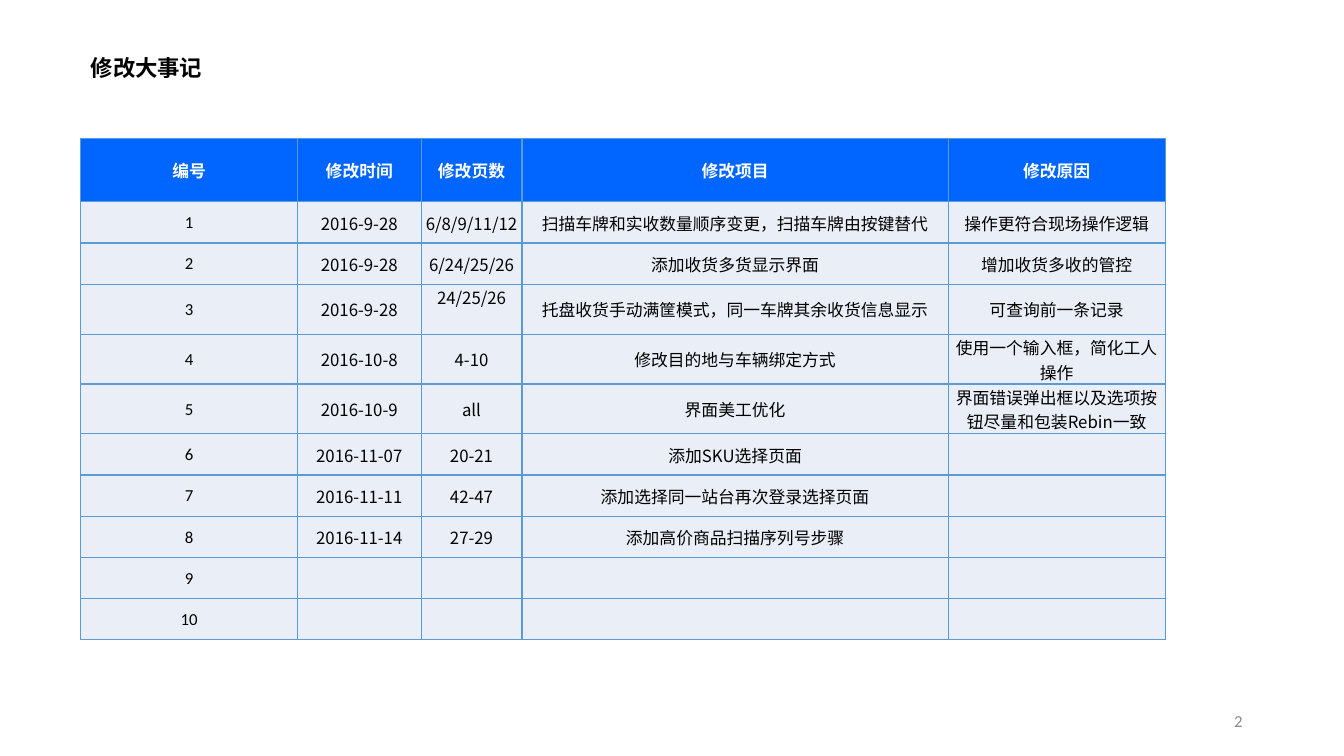
from dataclasses import dataclass

from lxml import etree
from pptx import Presentation
from pptx.dml.color import RGBColor
from pptx.enum.text import MSO_ANCHOR, MSO_AUTO_SIZE, PP_ALIGN
from pptx.oxml.ns import qn
from pptx.util import Inches, Pt

LEFT, CENTER, RIGHT = PP_ALIGN.LEFT, PP_ALIGN.CENTER, PP_ALIGN.RIGHT
TOP, MIDDLE = MSO_ANCHOR.TOP, MSO_ANCHOR.MIDDLE
GROW = MSO_AUTO_SIZE.SHAPE_TO_FIT_TEXT
TITLE_ONLY = 5


@dataclass(frozen=True)
class Theme:
    header_fill: str = "0066FF"
    body_fill: str = "EAEFF7"
    border: str = "5B9BD5"
    white: str = "FFFFFF"
    black: str = "000000"
    grey: str = "8C8C8C"
    latin: str = "Calibri"
    chinese: str = "Noto Sans CJK SC"
    title_size: int = 16
    text_size: int = 12
    border_width: int = 1


THEME = Theme()
SLIDE_WIDTH, SLIDE_HEIGHT = Inches(13.33), Inches(7.5)
TITLE_BOX = (0.06, 0.065, 0.099, 0.05)
NUMBER_BOX = (0.707, 0.927, 0.225, 0.053)
TABLE_BOX = (0.06, 0.183, 0.807, 0.65)
COLUMN_SHARES = (0.2, 0.114, 0.093, 0.393, 0.2)
HEADER_SHARE, ROW_SHARE, TALL_SHARE = 0.084, 0.0545, 0.066
TALL_ROWS = (3, 4, 5)
RAISED_CELL = (3, 2)
CELL_FORMAT = {
    "margin_left": Inches(0.01),
    "margin_right": Inches(0.01),
    "margin_top": Inches(0.01),
    "margin_bottom": 0,
}

HEADERS = ("编号", "修改时间", "修改页数", "修改项目", "修改原因")
CHANGES = (
    ("2016-9-28", "6/8/9/11/12", "扫描车牌和实收数量顺序变更，扫描车牌由按键替代", "操作更符合现场操作逻辑"),
    ("2016-9-28", "6/24/25/26", "添加收货多货显示界面", "增加收货多收的管控"),
    ("2016-9-28", "24/25/26", "托盘收货手动满筐模式，同一车牌其余收货信息显示", "可查询前一条记录"),
    ("2016-10-8", "4-10", "修改目的地与车辆绑定方式", "使用一个输入框，简化工人操作"),
    ("2016-10-9", "all", "界面美工优化", "界面错误弹出框以及选项按钮尽量和包装Rebin一致"),
    ("2016-11-07", "20-21", "添加SKU选择页面", ""),
    ("2016-11-11", "42-47", "添加选择同一站台再次登录选择页面", ""),
    ("2016-11-14", "27-29", "添加高价商品扫描序列号步骤", ""),
    ("", "", "", ""),
    ("", "", "", ""),
)


def set_format(target, values):
    for name, value in values.items():
        setattr(target, name, value)


def place(box):
    left, top, width, height = box
    return (
        round(left * SLIDE_WIDTH),
        round(top * SLIDE_HEIGHT),
        round(width * SLIDE_WIDTH),
        round(height * SLIDE_HEIGHT),
    )


def write_text(text_frame, text, color, size=THEME.text_size, bold=False,
               font=THEME.latin, align=CENTER):
    paragraph = text_frame.paragraphs[0]
    paragraph.alignment = align
    if not text:
        paragraph.font.size = Pt(size)
        return
    run = paragraph.add_run()
    run.text = text
    set_format(run.font, {"size": Pt(size), "bold": bold, "name": font})
    run.font.color.rgb = RGBColor.from_string(color)
    east_asian = etree.Element(qn("a:ea"), typeface=THEME.chinese)
    run.font._element.find(qn("a:latin")).addnext(east_asian)


def add_borders(cell):
    properties = cell._tc.get_or_add_tcPr()
    for side in ("a:lnL", "a:lnR", "a:lnT", "a:lnB"):
        line = etree.SubElement(properties, qn(side), w=str(Pt(THEME.border_width)))
        fill = etree.SubElement(line, qn("a:solidFill"))
        etree.SubElement(fill, qn("a:srgbClr"), val=THEME.border)


def fill_cell(cell, text, fill, color, bold, font, anchor):
    set_format(cell, CELL_FORMAT | {"vertical_anchor": anchor})
    add_borders(cell)
    cell.fill.solid()
    cell.fill.fore_color.rgb = RGBColor.from_string(fill)
    write_text(cell.text_frame, text, color, bold=bold, font=font)


def row_height(row_index):
    if row_index == 0:
        share = HEADER_SHARE
    else:
        share = TALL_SHARE if row_index in TALL_ROWS else ROW_SHARE
    return round(share * SLIDE_HEIGHT)


def add_change_table(slide):
    records = [HEADERS]
    records += [(str(number), *change) for number, change in enumerate(CHANGES, 1)]
    box = place(TABLE_BOX)
    table = slide.shapes.add_table(len(records), len(HEADERS), *box).table
    for column, share in zip(table.columns, COLUMN_SHARES):
        column.width = round(share * box[2])
    for row_index, record in enumerate(records):
        table.rows[row_index].height = row_height(row_index)
        is_header = row_index == 0
        fill = THEME.header_fill if is_header else THEME.body_fill
        color = THEME.white if is_header else THEME.black
        for column_index, text in enumerate(record):
            font = THEME.latin if is_header or column_index == 0 else THEME.chinese
            anchor = TOP if (row_index, column_index) == RAISED_CELL else MIDDLE
            fill_cell(table.cell(row_index, column_index), text, fill, color,
                      is_header, font, anchor)


def add_title(slide, text):
    title = slide.shapes.title
    left, top, width, height = place(TITLE_BOX)
    set_format(title, {"left": left, "top": top, "width": width, "height": height})
    set_format(title.text_frame, {
        "word_wrap": False, "auto_size": GROW, "vertical_anchor": TOP,
    })
    write_text(title.text_frame, text, THEME.black, THEME.title_size, True, align=LEFT)


def add_page_number(slide, text):
    text_frame = slide.shapes.add_textbox(*place(NUMBER_BOX)).text_frame
    set_format(text_frame, {"word_wrap": True, "vertical_anchor": MIDDLE})
    write_text(text_frame, text, THEME.grey, align=RIGHT)


def main():
    presentation = Presentation()
    set_format(presentation, {"slide_width": SLIDE_WIDTH, "slide_height": SLIDE_HEIGHT})
    slide = presentation.slides.add_slide(presentation.slide_layouts[TITLE_ONLY])
    add_page_number(slide, "2")
    add_change_table(slide)
    add_title(slide, "修改大事记")
    presentation.save("out.pptx")


if __name__ == "__main__":
    main()
